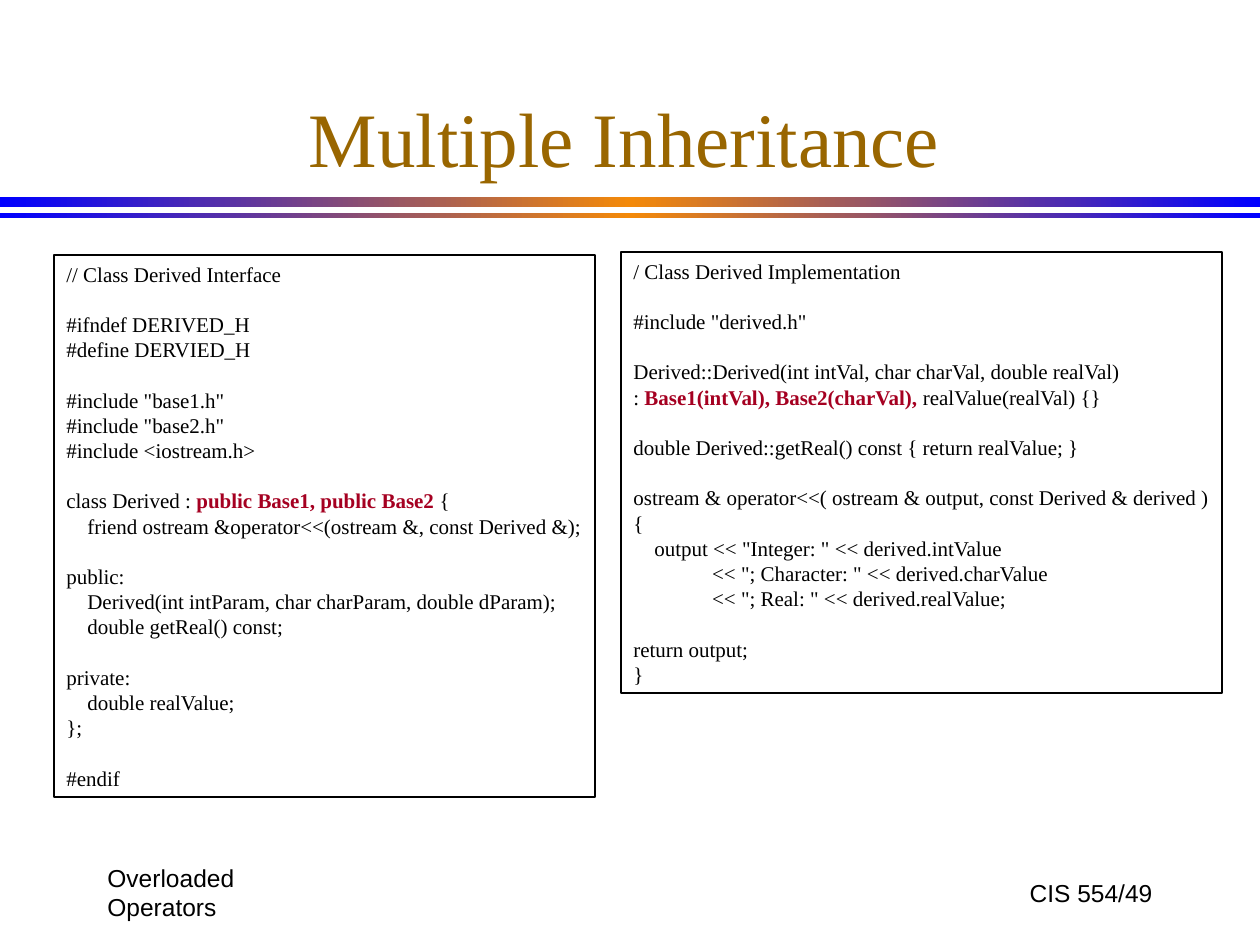
"""Build the Multiple Inheritance slide with two code listings."""
from copy import deepcopy
from dataclasses import dataclass

from pptx import Presentation
from pptx.dml.color import RGBColor
from pptx.enum.shapes import MSO_SHAPE
from pptx.enum.text import MSO_ANCHOR, MSO_AUTO_SIZE, PP_ALIGN
from pptx.oxml.ns import qn
from pptx.util import Pt

EMU_PER_PX = 914400 / 126
RECTANGLE = MSO_SHAPE.RECTANGLE
TOP, MIDDLE, BOTTOM = MSO_ANCHOR.TOP, MSO_ANCHOR.MIDDLE, MSO_ANCHOR.BOTTOM
LEFT, CENTER, RIGHT = PP_ALIGN.LEFT, PP_ALIGN.CENTER, PP_ALIGN.RIGHT
GROW = MSO_AUTO_SIZE.SHAPE_TO_FIT_TEXT
EMPHASIS_MARK = "|"

INTERFACE = """\
// Class Derived Interface

#ifndef DERIVED_H
#define DERVIED_H

#include "base1.h"
#include "base2.h"
#include <iostream.h>

class Derived : |public Base1, public Base2| {
    friend ostream &operator<<(ostream &, const Derived &);

public:
    Derived(int intParam, char charParam, double dParam);
    double getReal() const;

private:
    double realValue;
};

#endif"""

IMPLEMENTATION = """\
/ Class Derived Implementation

#include "derived.h"

Derived::Derived(int intVal, char charVal, double realVal)
: |Base1(intVal), Base2(charVal),| realValue(realVal) {}

double Derived::getReal() const { return realValue; }

ostream & operator<<( ostream & output, const Derived & derived )
{
    output << "Integer: " << derived.intValue
               << "; Character: " << derived.charValue
               << "; Real: " << derived.realValue;

return output;
}"""


@dataclass(frozen=True)
class Theme:
    """Colours, fonts and type sizes of the slide."""
    ink: str = "000000"
    title: str = "996600"
    emphasis: str = "A50021"
    band_edge: str = "0000FF"
    band_middle: str = "F38909"
    serif: str = "Times New Roman"
    sans: str = "Arial"
    title_size: int = 44
    footer_size: int = 14
    code_size: int = 12
    code_leading: float = 14.4
    space_width: int = 3


def px(*lengths):
    """Turn pixel lengths into EMU."""
    return [round(length * EMU_PER_PX) for length in lengths]


def add_runs(paragraph, text, *, font, size, color, emphasis=None):
    """Write text as runs, with every marked part bold and in the emphasis colour."""
    for index, part in enumerate(text.split(EMPHASIS_MARK)):
        marked = index % 2 == 1
        run = paragraph.add_run()
        run.text = part
        run.font.name = font
        run.font.size = Pt(size)
        run.font.bold = marked
        run.font.color.rgb = RGBColor.from_string(emphasis if marked else color)


class SlideBuilder:
    """Holds the theme and the current slide and adds its elements."""

    def __init__(self, slide, theme):
        self.slide = slide
        self.theme = theme

    def rectangle(self, *box):
        """Add a plain rectangle without a shadow."""
        shape = self.slide.shapes.add_shape(RECTANGLE, *px(*box))
        shape.shadow.inherit = False
        return shape

    def band(self, *box):
        """Add a band that fades from its edges to its middle."""
        shape = self.rectangle(*box)
        shape.line.fill.background()
        shape.fill.gradient()
        shape.fill.gradient_angle = 0
        last = shape.element.spPr.find(qn("a:gradFill")).findall(f".//{qn('a:gs')}")[-1]
        last.addnext(deepcopy(last))
        edge, middle = self.theme.band_edge, self.theme.band_middle
        stops = shape.fill.gradient_stops
        for stop, position, color in zip(stops, (0, 0.5, 1), (edge, middle, edge)):
            stop.position = position
            stop.color.rgb = RGBColor.from_string(color)

    def label(self, text, *box, align, anchor, wrap=False, **style):
        """Add a text box with one line of text."""
        frame = self.slide.shapes.add_textbox(*px(*box)).text_frame
        frame.word_wrap = wrap
        frame.vertical_anchor = anchor
        paragraph = frame.paragraphs[0]
        paragraph.alignment = align
        add_runs(paragraph, text, **style)

    def code(self, source, *box):
        """Add a framed listing, turning blank lines into spacing and leading spaces into indents."""
        theme = self.theme
        shape = self.rectangle(*box)
        shape.fill.background()
        shape.line.color.rgb = RGBColor.from_string(theme.ink)
        shape.line.width = Pt(1)
        frame = shape.text_frame
        frame.word_wrap = False
        frame.auto_size = GROW
        frame.vertical_anchor = TOP
        for block_index, block in enumerate(source.split("\n\n")):
            for line_index, line in enumerate(block.split("\n")):
                is_first = block_index == line_index == 0
                paragraph = frame.paragraphs[0] if is_first else frame.add_paragraph()
                paragraph.alignment = LEFT
                paragraph.line_spacing = Pt(theme.code_leading)
                if block_index and not line_index:
                    paragraph.space_before = Pt(theme.code_leading)
                text = line.lstrip()
                indent = Pt((len(line) - len(text)) * theme.space_width)
                if indent:
                    properties = paragraph._p.get_or_add_pPr()
                    properties.set("marL", str(indent))
                    properties.set("indent", "0")
                add_runs(paragraph, text, font=theme.serif, size=theme.code_size,
                         color=theme.ink, emphasis=theme.emphasis)


def main():
    """Build and save the presentation."""
    presentation = Presentation()
    presentation.slide_width, presentation.slide_height = px(1260, 945)
    slide = presentation.slides.add_slide(presentation.slide_layouts[6])
    theme = Theme()
    builder = SlideBuilder(slide, theme)

    builder.band(0, 197, 1260, 10)
    builder.band(0, 213, 1260, 5)

    footer = dict(font=theme.sans, size=theme.footer_size, color=theme.ink, anchor=MIDDLE)
    builder.label("Overloaded Operators", 95, 861, 262, 63, align=LEFT, **footer)
    builder.label("CIS 554/49", 903, 861, 262, 63, align=RIGHT, **footer)

    builder.code(INTERFACE, 54, 255, 541, 542)
    builder.code(IMPLEMENTATION, 621, 252, 601, 441)

    builder.label("Multiple Inheritance", 84, 32, 1081, 157, align=CENTER, anchor=BOTTOM,
                  wrap=True, font=theme.serif, size=theme.title_size, color=theme.title)
    presentation.save("out.pptx")


if __name__ == "__main__":
    main()
